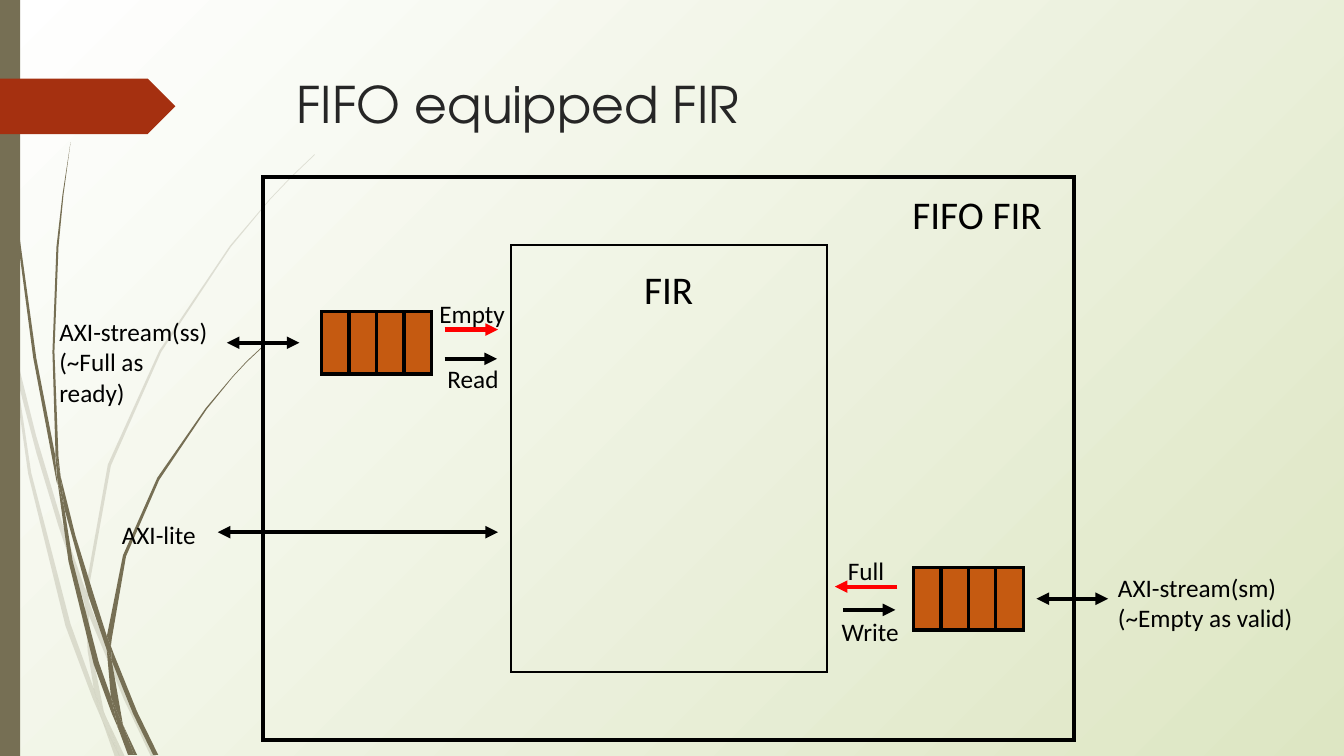
from dataclasses import dataclass

from lxml import etree
from pptx import Presentation
from pptx.dml.color import RGBColor
from pptx.enum.shapes import MSO_CONNECTOR, MSO_SHAPE
from pptx.enum.text import MSO_ANCHOR, PP_ALIGN
from pptx.oxml.ns import qn
from pptx.util import Inches, Pt

RECTANGLE = MSO_SHAPE.RECTANGLE
PENTAGON = MSO_SHAPE.PENTAGON
STRAIGHT = MSO_CONNECTOR.STRAIGHT
TOP = MSO_ANCHOR.TOP
LEFT = PP_ALIGN.LEFT


@dataclass(frozen=True)
class Theme:
    black: str = "000000"
    red: str = "FF0000"
    title: str = "262626"
    stem: str = "766F54"
    marker: str = "A53010"
    queue: str = "C55A11"
    background_start: str = "FFFFFF"
    background_end: str = "DDE6C3"
    heading_font: str = "TeX Gyre Adventor"
    body_font: str = "Calibri"
    title_size: int = 36
    block_size: int = 28
    label_size: int = 18


THEME = Theme()


@dataclass(frozen=True)
class Label:
    text: str
    left: float
    top: float
    width: float
    height: float
    size: int = THEME.label_size


@dataclass(frozen=True)
class Signal:
    start: float
    end: float
    y: float
    color: str = THEME.black
    two_way: bool = False


@dataclass(frozen=True)
class Queue:
    left: float
    top: float
    width: float = 1.09
    height: float = 0.62
    cells: int = 4


FAINT_STEMS = [
    [(0.11, 3.5), (0.09, 3.22), (0, 2.82), (0, 2.99), (0.1, 3.44)],
    [(0.58, 5.22), (0.84, 5.99), (0.85, 5.86), (0.62, 5.2), (0.36, 4.33), (0.14, 3.45),
     (0.17, 3.76), (0.36, 4.49)],
    [(0.92, 6.07), (0.88, 5.96), (0.88, 6.1), (1.23, 6.94), (1.5, 7.51), (1.55, 7.51),
     (1.27, 6.92)],
    [(1.19, 7.51), (1.24, 7.51), (1.05, 7.11)],
    [(0.93, 6.83), (0.7, 6.19), (0.31, 4.69), (0.17, 3.76), (0.11, 3.5), (0.28, 4.7),
     (0.65, 6.21), (0.92, 6.93), (1.01, 7.14), (0.99, 7.07)],
    [(0.84, 5.99), (0.87, 6.46), (0.93, 6.83), (0.96, 6.92), (1.05, 7.11), (1.03, 7.06),
     (0.91, 6.46), (0.88, 6.1), (0.88, 6.08)],
    [(0.88, 5.84), (1.1, 4.62), (1.6, 3.49), (2.29, 2.45), (2.68, 1.98), (2.9, 1.75),
     (3.12, 1.54), (3.12, 1.53), (2.89, 1.75), (2.68, 1.97), (2.28, 2.44), (1.58, 3.48),
     (1.07, 4.61), (0.85, 5.84), (0.85, 5.86), (0.88, 5.96)],
    [(1.01, 7.14), (1.14, 7.51), (1.19, 7.51)],
    [(0.88, 6.08), (0.88, 6.1), (0.88, 5.96), (0.85, 5.86), (0.84, 5.99)],
    [(0.93, 6.83), (0.99, 7.07), (1.01, 7.14), (1.19, 7.51), (1.05, 7.11), (0.96, 6.92)],
]
SOLID_STEMS = [
    [(0.07, 1.1), (0.17, 2.33), (0.33, 3.55), (0.56, 4.77), (0.57, 4.81), (0.55, 4.57),
     (0.55, 4.53), (0.36, 3.55), (0.19, 2.32), (0.08, 1.09), (0.05, 0.48), (0.04, 0),
     (0.03, 0), (0.04, 0.48)],
    [(0.88, 5.92), (1.06, 6.45), (1.06, 6.31), (0.93, 5.9), (0.75, 5.32), (0.6, 4.72),
     (0.64, 5.05)],
    [(1.13, 6.49), (1.1, 6.41), (1.11, 6.56), (1.32, 7.08), (1.52, 7.49), (1.57, 7.49),
     (1.36, 7.06)],
    [(1.1, 6.91), (0.98, 6.57), (0.72, 5.56), (0.64, 5.05), (0.57, 4.77), (0.68, 5.57),
     (0.93, 6.59), (1.11, 7.08), (1.17, 7.22), (1.16, 7.17)],
    [(0.6, 4.72), (0.58, 4.53), (0.54, 3.49), (0.58, 2.45), (0.63, 1.93), (0.7, 1.41),
     (0.62, 1.93), (0.56, 2.45), (0.52, 3.49), (0.55, 4.49)],
    [(1.33, 7.49), (1.36, 7.49), (1.22, 7.19)],
    [(0.57, 4.77), (0.64, 5.05), (0.6, 4.72), (0.55, 4.49), (0.55, 4.53)],
    [(1.11, 6.33), (1.25, 5.52), (1.58, 4.76), (2.05, 4.06), (2.31, 3.74), (2.45, 3.59),
     (2.61, 3.44), (2.6, 3.44), (2.45, 3.58), (2.31, 3.73), (2.04, 4.05), (1.56, 4.74),
     (1.22, 5.51), (1.06, 6.31), (1.1, 6.41)],
    [(1.17, 7.22), (1.27, 7.49), (1.31, 7.49)],
    [(1.06, 6.45), (1.1, 6.91), (1.16, 7.06), (1.22, 7.19), (1.11, 6.56), (1.09, 6.51)],
    [(1.06, 6.45), (1.09, 6.51), (1.11, 6.56), (1.1, 6.41), (1.06, 6.31)],
    [(1.1, 6.91), (1.16, 7.17), (1.17, 7.22), (1.3, 7.49), (1.33, 7.49), (1.22, 7.19),
     (1.16, 7.06)],
]
QUEUES = [Queue(3.19, 3.09), Queue(9.06, 5.63)]
SIGNALS = [
    Signal(2.25, 2.97, 3.4, two_way=True),
    Signal(10.28, 10.99, 5.94, two_way=True),
    Signal(2.16, 4.94, 5.28, two_way=True),
    Signal(4.41, 4.94, 3.27, THEME.red),
    Signal(8.9, 8.28, 5.82, THEME.red),
    Signal(8.36, 8.88, 6.05),
    Signal(4.41, 4.93, 3.56),
]
LABELS = [
    Label("AXI-stream(ss)\n(~Full as ready)", 0.49, 3.09, 1.67, 1.01),
    Label("AXI-stream(sm)\n(~Empty as valid)", 10.99, 5.63, 1.96, 0.71),
    Label("FIR", 6.29, 2.58, 0.69, 0.57, THEME.block_size),
    Label("FIFO FIR", 8.95, 1.84, 1.6, 0.57, THEME.block_size),
    Label("Empty", 4.26, 2.91, 0.95, 0.4),
    Label("Full", 8.31, 5.46, 0.62, 0.4),
    Label("AXI-lite", 1.11, 5.1, 0.94, 0.4),
    Label("Read", 4.34, 3.56, 0.76, 0.4),
    Label("Write", 8.25, 6.07, 0.9, 0.4),
]


def paint_background(slide) -> None:
    fill = slide.background.fill
    fill.gradient()
    for stop, color in zip(fill.gradient_stops, (THEME.background_start, THEME.background_end)):
        stop.color.rgb = RGBColor.from_string(color)
    gradient = slide.element.find(".//" + qn("a:gradFill"))
    gradient.remove(gradient.find(qn("a:lin")))
    circle = etree.SubElement(gradient, qn("a:path"), {"path": "circle"})
    etree.SubElement(circle, qn("a:fillToRect"), {"r": "100000", "b": "100000"})


def style_shape(shape, fill: str = "", line_width: float = 0) -> None:
    shape.shadow.inherit = False
    if fill:
        shape.fill.solid()
        shape.fill.fore_color.rgb = RGBColor.from_string(fill)
    else:
        shape.fill.background()
    if line_width:
        shape.line.color.rgb = RGBColor.from_string(THEME.black)
        shape.line.width = Pt(line_width)
        outline = shape.element.spPr.find(qn("a:ln"))
        etree.SubElement(outline, qn("a:miter"), {"lim": "800000"})
    else:
        shape.line.fill.background()


def add_block(slide, left: float, top: float, width: float, height: float,
              kind=RECTANGLE, fill: str = "", line_width: float = 0) -> None:
    shape = slide.shapes.add_shape(kind, Inches(left), Inches(top), Inches(width), Inches(height))
    style_shape(shape, fill, line_width)


def add_stem(slide, points: list[tuple[float, float]], opacity: int = 100) -> None:
    corners = [(Inches(x), Inches(y)) for x, y in points]
    builder = slide.shapes.build_freeform(*corners[0])
    builder.add_line_segments(corners[1:], close=True)
    shape = builder.convert_to_shape()
    style_shape(shape, THEME.stem)
    if opacity < 100:
        color = shape.element.spPr.find(".//" + qn("a:srgbClr"))
        etree.SubElement(color, qn("a:alpha"), {"val": str(opacity * 1000)})


def add_text(slide, label: Label, font: str = THEME.body_font, color: str = THEME.black) -> None:
    box = slide.shapes.add_textbox(Inches(label.left), Inches(label.top),
                                   Inches(label.width), Inches(label.height))
    frame = box.text_frame
    frame.word_wrap = True
    frame.vertical_anchor = TOP
    frame.text = label.text
    for paragraph in frame.paragraphs:
        paragraph.alignment = LEFT
        for run in paragraph.runs:
            run.font.name = font
            run.font.size = Pt(label.size)
            run.font.color.rgb = RGBColor.from_string(color)


def add_signal(slide, signal: Signal) -> None:
    connector = slide.shapes.add_connector(STRAIGHT, Inches(signal.start), Inches(signal.y),
                                           Inches(signal.end), Inches(signal.y))
    connector.line.color.rgb = RGBColor.from_string(signal.color)
    connector.line.width = Pt(3)
    properties = connector.element.spPr
    for end in ("a:headEnd", "a:tailEnd") if signal.two_way else ("a:tailEnd",):
        etree.SubElement(properties.find(qn("a:ln")), qn(end), {"type": "triangle"})
    etree.SubElement(properties, qn("a:effectLst"))


def add_queue(slide, queue: Queue) -> None:
    cell_width = queue.width / queue.cells
    for index in range(queue.cells):
        add_block(slide, queue.left + index * cell_width, queue.top, cell_width, queue.height,
                  fill=THEME.queue, line_width=2.25)


def main() -> None:
    presentation = Presentation()
    presentation.slide_width = Inches(13.33)
    presentation.slide_height = Inches(7.5)
    slide = presentation.slides.add_slide(presentation.slide_layouts[6])
    paint_background(slide)
    for stems, opacity in ((FAINT_STEMS, 20), (SOLID_STEMS, 100)):
        for points in stems:
            add_stem(slide, points, opacity)
    add_block(slide, 0, 0, 0.2, 7.5, fill=THEME.stem)
    add_block(slide, 0, 0.78, 1.74, 0.55, kind=PENTAGON, fill=THEME.marker)
    add_text(slide, Label("FIFO equipped FIR", 2.84, 0.68, 9.75, 1.4, THEME.title_size),
             font=THEME.heading_font, color=THEME.title)
    for queue in QUEUES:
        add_queue(slide, queue)
    add_block(slide, 5.07, 2.43, 3.13, 4.24, line_width=1.5)
    for signal in SIGNALS:
        add_signal(slide, signal)
    for label in LABELS:
        add_text(slide, label)
    add_block(slide, 2.61, 1.76, 8.04, 5.58, line_width=3)
    presentation.save("out.pptx")


if __name__ == "__main__":
    main()
